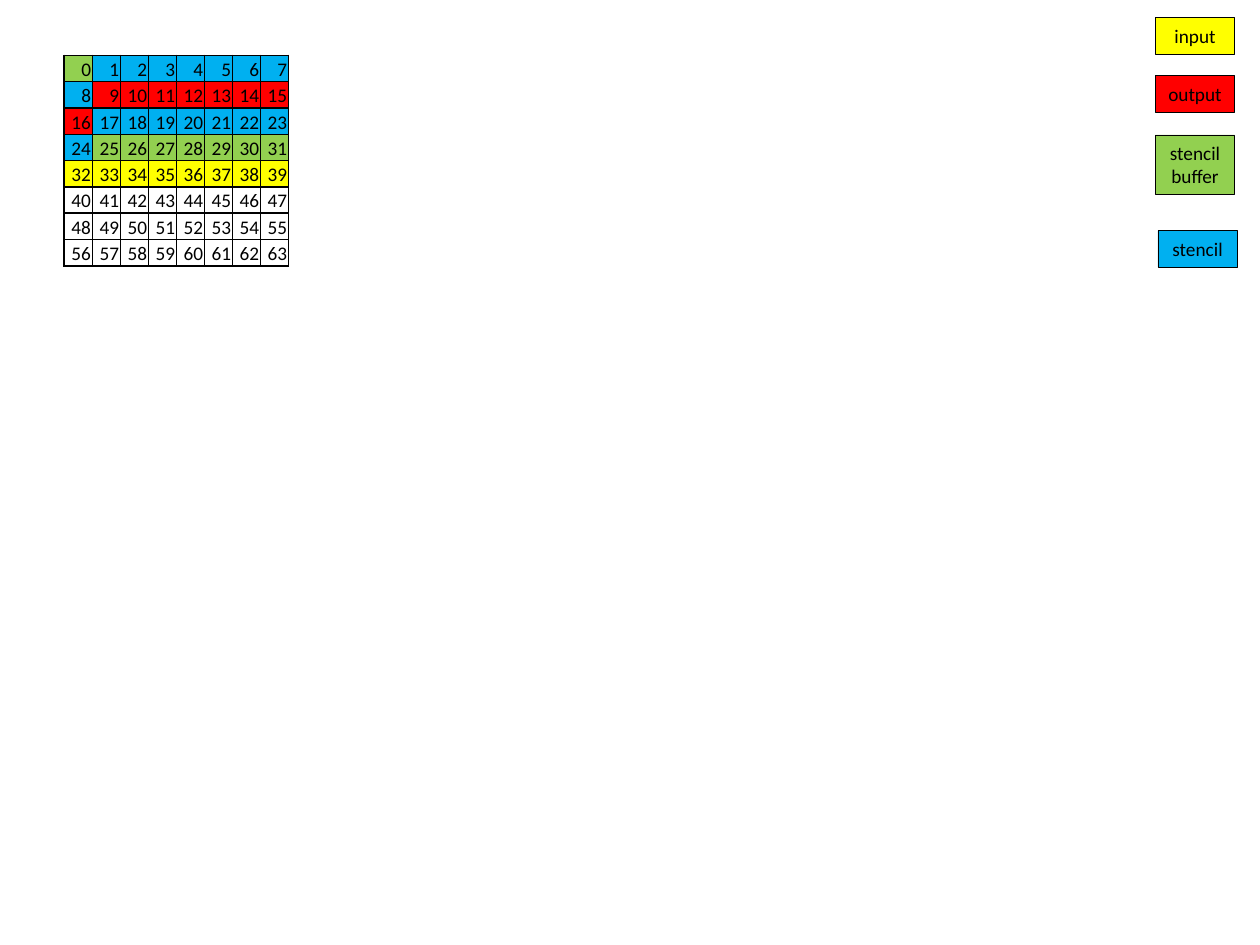
from dataclasses import dataclass

from lxml.etree import SubElement
from pptx import Presentation
from pptx.dml.color import RGBColor
from pptx.enum.shapes import MSO_SHAPE
from pptx.enum.text import MSO_ANCHOR, MSO_AUTO_SIZE, PP_ALIGN
from pptx.oxml.ns import qn
from pptx.util import Inches, Pt

COLORS = {
    "input": "FFFF00",
    "output": "FF0000",
    "buffer": "92D050",
    "stencil": "00B0F0",
    "plain": "FFFFFF",
    "ink": "000000",
}
SIDE = 8


@dataclass
class Box:
    """Place and size as percent of the slide."""
    left: float
    top: float
    width: float
    height: float


@dataclass
class Key:
    """One legend entry."""
    text: str
    color: str
    box: Box


@dataclass
class Span:
    """A run of consecutive cells sharing one colour."""
    count: int
    color: str


KEYS = [
    Key("input", "input", Box(91.7, 1.87, 6.3, 3.87)),
    Key("output", "output", Box(91.7, 8, 6.3, 3.87)),
    Key("stencil buffer", "buffer", Box(91.7, 14.27, 6.3, 6.27)),
    Key("stencil", "stencil", Box(91.9, 24.4, 6.3, 3.87)),
]
SPANS = [
    Span(1, "buffer"), Span(8, "stencil"), Span(8, "output"),
    Span(8, "stencil"), Span(7, "buffer"), Span(8, "input"),
    Span(24, "plain"),
]
GRID = Box(5.1, 5.87, 17.8, 22.27)

deck = Presentation()
deck.slide_width, deck.slide_height = Inches(10), Inches(7.5)
slide = deck.slides.add_slide(deck.slide_layouts[6])


def place(box: Box) -> list[int]:
    """Turn percentages into slide lengths."""
    wide, high = deck.slide_width, deck.slide_height
    return [round(wide * box.left / 100), round(high * box.top / 100),
            round(wide * box.width / 100), round(high * box.height / 100)]


def rgb(name: str) -> RGBColor:
    """Look up a named colour."""
    return RGBColor.from_string(COLORS[name])


def write(frame, text: str, align: PP_ALIGN) -> None:
    """Fill a text frame with one styled paragraph."""
    para = frame.paragraphs[0]
    para.text, para.alignment = text, align
    para.font.size, para.font.name = Pt(11), "Calibri"
    para.font.color.rgb = rgb("ink")


def border(cell) -> None:
    """Give a cell a thin line on all four sides."""
    props = cell._tc.get_or_add_tcPr()
    for side in ("lnL", "lnR", "lnT", "lnB"):
        line = SubElement(props, qn(f"a:{side}"), w=str(Pt(1)))
        fill = SubElement(line, qn("a:solidFill"))
        SubElement(fill, qn("a:srgbClr"), val=COLORS["ink"])


def draw_grid(box: Box, spans: list[Span]) -> None:
    """Draw the numbered memory grid, coloured span by span."""
    table = slide.shapes.add_table(SIDE, SIDE, *place(box)).table
    table.first_row = table.horz_banding = False
    names = [span.color for span in spans for _ in range(span.count)]
    for index, name in enumerate(names):
        cell = table.cell(*divmod(index, SIDE))
        cell.margin_left = cell.margin_right = cell.margin_top = Inches(0.01)
        cell.margin_bottom = 0
        cell.vertical_anchor = MSO_ANCHOR.BOTTOM
        border(cell)
        cell.fill.solid()
        cell.fill.fore_color.rgb = rgb(name)
        write(cell.text_frame, str(index), PP_ALIGN.RIGHT)


def draw_key(key: Key) -> None:
    """Draw one legend box."""
    shape = slide.shapes.add_shape(MSO_SHAPE.RECTANGLE, *place(key.box))
    shape.shadow.inherit = False
    shape.fill.solid()
    shape.fill.fore_color.rgb = rgb(key.color)
    shape.line.color.rgb = rgb("ink")
    shape.line.width = Pt(0.25)
    frame = shape.text_frame
    frame.word_wrap = True
    frame.auto_size = MSO_AUTO_SIZE.SHAPE_TO_FIT_TEXT
    frame.vertical_anchor = MSO_ANCHOR.TOP
    write(frame, key.text, PP_ALIGN.CENTER)


draw_grid(GRID, SPANS)
for key in KEYS:
    draw_key(key)
deck.save("out.pptx")
